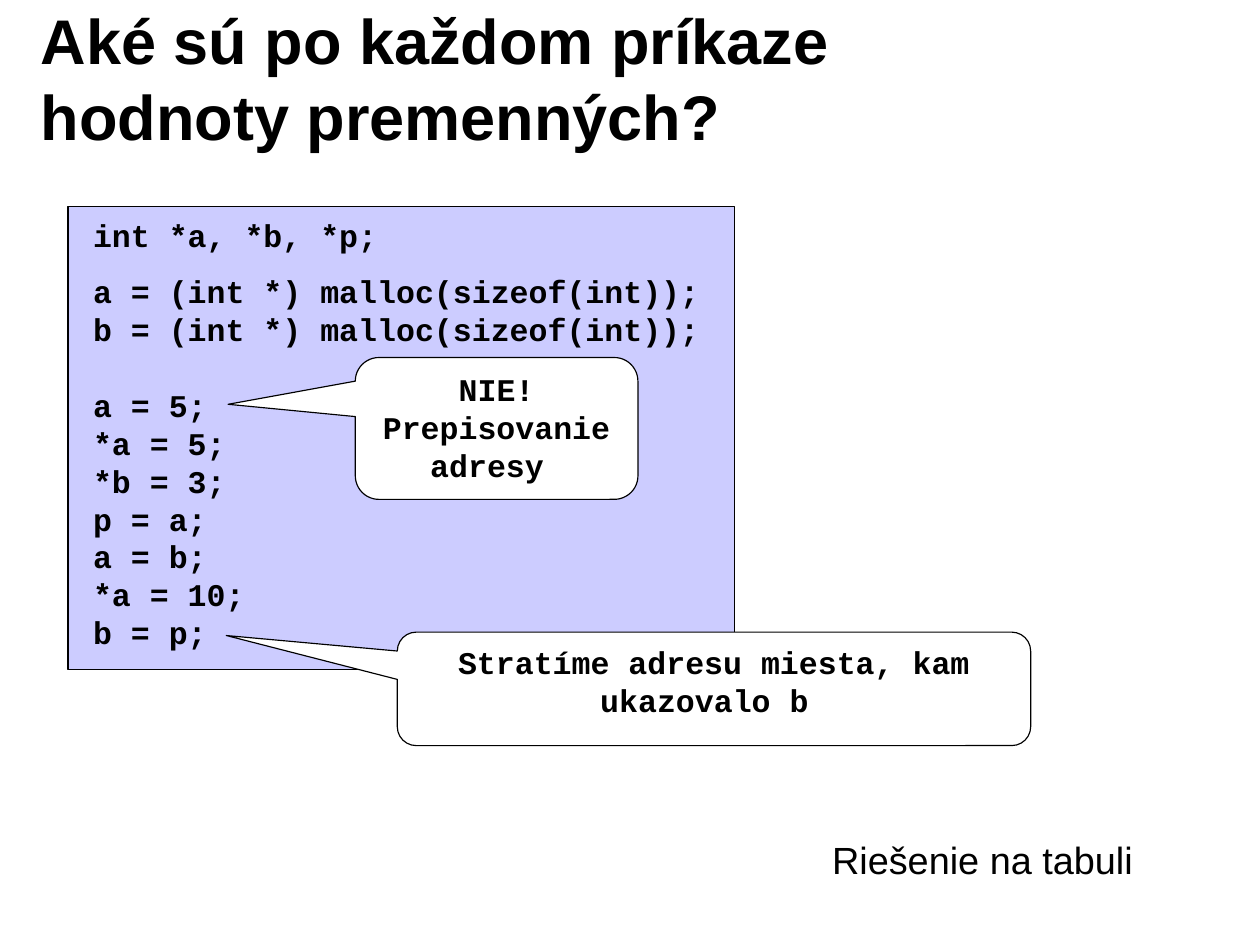
import dataclasses

import pptx
import pptx.dml.color
import pptx.enum.shapes
import pptx.enum.text
import pptx.util

ALIGN = pptx.enum.text.PP_ALIGN
ANCHOR = pptx.enum.text.MSO_ANCHOR
SHAPE = pptx.enum.shapes.MSO_SHAPE
CELL = pptx.util.Inches(0.1)
COLUMNS, ROWS = 111, 83


@dataclasses.dataclass(frozen=True)
class Style:
    size: int
    font: str
    bold: bool


@dataclasses.dataclass(frozen=True)
class Theme:
    ink: str = "000000"
    paper: str = "FFFFFF"
    panel: str = "CCCCFF"
    outline: float = 0.75
    leading: float = 1.2
    title: Style = Style(40, "Arial", True)
    code: Style = Style(20, "Courier New", True)
    note: Style = Style(24, "Arial", False)


THEME = Theme()
CODE_BLOCKS = [
    (0, ["int *a, *b, *p;"]),
    (12, ["a = (int *) malloc(sizeof(int));", "b = (int *) malloc(sizeof(int));"]),
    (24, ["a = 5;", "*a = 5;", "*b = 3;", "p = a;", "a = b;", "*a = 10;", "b = p;"]),
]


def color(value):
    return pptx.dml.color.RGBColor.from_string(value)


def cells(*counts):
    """Turn counts of grid cells into lengths."""
    return [round(count * CELL) for count in counts]


def set_frame(frame, inset_x, inset_y, anchor=ANCHOR.TOP, wrap=True):
    frame.margin_left = frame.margin_right = round(inset_x * CELL)
    frame.margin_top = frame.margin_bottom = round(inset_y * CELL)
    frame.vertical_anchor = anchor
    frame.word_wrap = wrap
    frame.auto_size = pptx.enum.text.MSO_AUTO_SIZE.NONE


def write(paragraph, text, style, align=ALIGN.LEFT, before=0):
    paragraph.alignment = align
    paragraph.line_spacing = pptx.util.Pt(style.size * THEME.leading)
    paragraph.space_before = pptx.util.Pt(before)
    run = paragraph.add_run()
    run.text = text
    run.font.size = pptx.util.Pt(style.size)
    run.font.name = style.font
    run.font.bold = style.bold
    run.font.color.rgb = color(THEME.ink)


def add_outlined(slide, kind, area, fill):
    shape = slide.shapes.add_shape(kind, *cells(*area))
    shape.shadow.inherit = False
    shape.fill.solid()
    shape.fill.fore_color.rgb = color(fill)
    shape.line.color.rgb = color(THEME.ink)
    shape.line.width = pptx.util.Pt(THEME.outline)
    return shape


def add_title(slide, text, area):
    title = slide.shapes.title
    title.left, title.top, title.width, title.height = cells(*area)
    set_frame(title.text_frame, 1.1, 0.6, ANCHOR.MIDDLE)
    write(title.text_frame.paragraphs[0], text, THEME.title)


def add_code_panel(slide, blocks, area):
    """Draw the listing; each block is its gap above in points and its lines."""
    frame = add_outlined(slide, SHAPE.RECTANGLE, area, THEME.panel).text_frame
    set_frame(frame, 2.2, 0.8)
    paragraph = frame.paragraphs[0]
    for gap, lines in blocks:
        for number, line in enumerate(lines):
            if paragraph is None:
                paragraph = frame.add_paragraph()
            write(paragraph, line, THEME.code, before=0 if number else gap)
            paragraph = None


def add_callout(slide, text, area, tip):
    """Draw a speech bubble; tip is its offset from the centre, in shares of its size."""
    callout = add_outlined(slide, SHAPE.ROUNDED_RECTANGULAR_CALLOUT, area, THEME.paper)
    callout.adjustments[0], callout.adjustments[1] = tip
    set_frame(callout.text_frame, 1, 0.5)
    write(callout.text_frame.paragraphs[0], text, THEME.code, ALIGN.CENTER)


def add_note(slide, text, area):
    note = slide.shapes.add_textbox(*cells(*area))
    set_frame(note.text_frame, 1, 0.5, wrap=False)
    write(note.text_frame.paragraphs[0], text, THEME.note, ALIGN.CENTER)


def main():
    deck = pptx.Presentation()
    deck.slide_width, deck.slide_height = cells(COLUMNS, ROWS)
    slide = deck.slides.add_slide(deck.slide_layouts[5])
    add_title(slide, "Aké sú po každom príkaze hodnoty premenných?", (2.5, 1.7, 89.2, 10.2))
    add_code_panel(slide, CODE_BLOCKS, (6, 18.2, 58.7, 40.8))
    add_callout(slide, "NIE! Prepisovanie adresy ", (31.3, 31.5, 24.9, 12.5), (-0.95, -0.17))
    add_callout(slide, "Stratíme adresu miesta, kam ukazovalo b ", (35, 55.7, 55.8, 10), (-0.77, -0.47))
    add_note(slide, "Riešenie na tabuli", (72.3, 73.2, 28.5, 5))
    deck.save("out.pptx")


if __name__ == "__main__":
    main()
